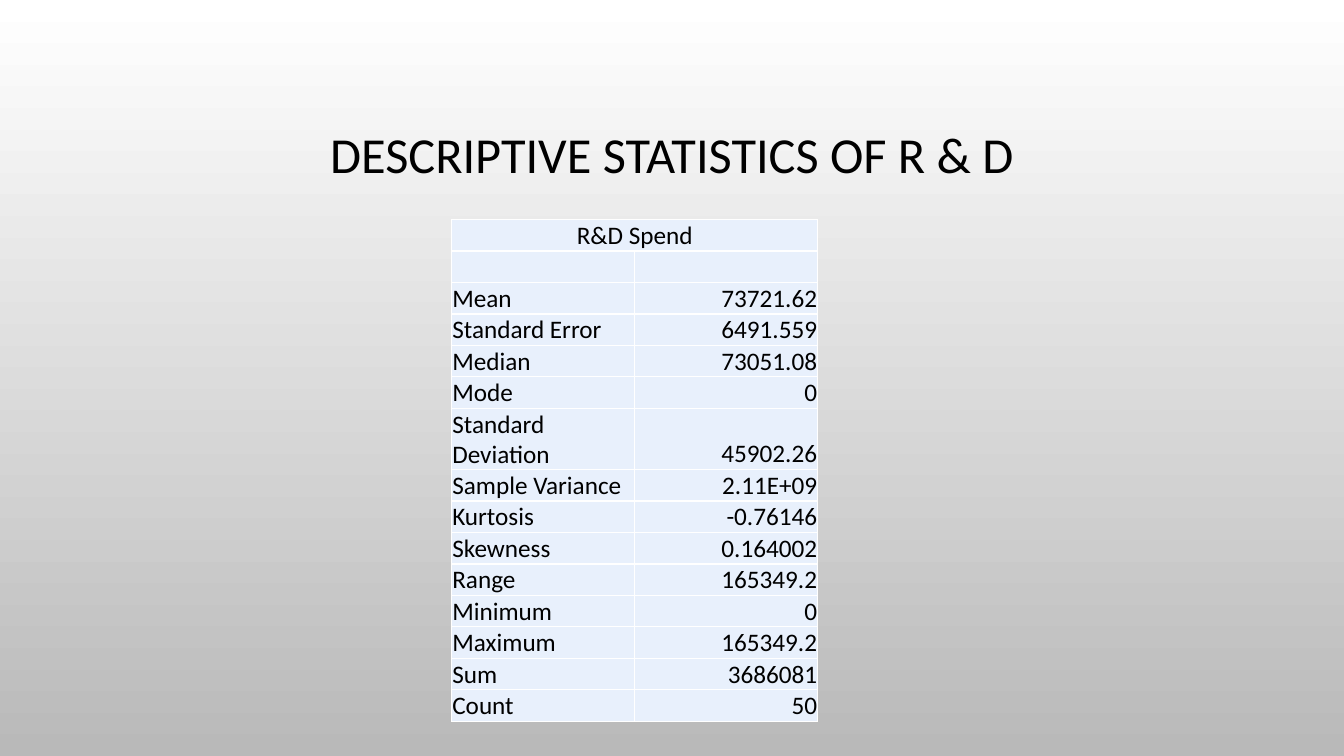
from lxml import etree
from pptx import Presentation
from pptx.dml.color import RGBColor
from pptx.enum.text import MSO_ANCHOR, PP_ALIGN
from pptx.oxml.ns import qn
from pptx.util import Pt

LEFT, CENTER, RIGHT = PP_ALIGN.LEFT, PP_ALIGN.CENTER, PP_ALIGN.RIGHT
MIDDLE, BOTTOM = MSO_ANCHOR.MIDDLE, MSO_ANCHOR.BOTTOM
FONT = "Calibri"
BLACK, WHITE, GREY, PALE_BLUE = "000000", "FFFFFF", "B9B9B9", "E8F0FC"
STATISTICS = [
    ("R&D Spend", ""),
    ("", ""),
    ("Mean", "73721.62"),
    ("Standard Error", "6491.559"),
    ("Median", "73051.08"),
    ("Mode", "0"),
    ("Standard Deviation", "45902.26"),
    ("Sample Variance", "2.11E+09"),
    ("Kurtosis", "-0.76146"),
    ("Skewness", "0.164002"),
    ("Range", "165349.2"),
    ("Minimum", "0"),
    ("Maximum", "165349.2"),
    ("Sum", "3686081"),
    ("Count", "50"),
]


def color(value):
    """Turn a hex string into a colour."""
    return RGBColor.from_string(value)


def write(tf, text, size, align):
    """Put one formatted line of text into a text frame."""
    tf.text = text
    p = tf.paragraphs[0]
    p.alignment = align
    for r in p.runs:
        r.font.name = FONT
        r.font.size = Pt(size)
        r.font.color.rgb = color(BLACK)


def add_background(s):
    """Fill the slide with a vertical gradient."""
    fill = s.background.fill
    fill.gradient()
    fill.gradient_angle = 270
    for stop, value in zip(fill.gradient_stops, (WHITE, GREY)):
        stop.color.rgb = color(value)


def add_title(s, left, top, width, height):
    """Add the centred slide title."""
    tf = s.shapes.add_textbox(Pt(left), Pt(top), Pt(width), Pt(height)).text_frame
    tf.word_wrap = True
    tf.vertical_anchor = MIDDLE
    write(tf, "DESCRIPTIVE STATISTICS OF R & D", 36, CENTER)
    tf.paragraphs[0].line_spacing = 0.9


def add_borders(cell):
    """Draw thin white lines on the four sides of a cell."""
    tcPr = cell._tc.get_or_add_tcPr()
    for i, side in enumerate(("a:lnL", "a:lnR", "a:lnT", "a:lnB")):
        ln = etree.Element(qn(side), w=str(Pt(1)))
        fill = etree.SubElement(ln, qn("a:solidFill"))
        etree.SubElement(fill, qn("a:srgbClr"), val=WHITE)
        tcPr.insert(i, ln)


def add_statistics(s, left, top, width, row_height):
    """Add the table of statistics under a merged heading row."""
    rows = len(STATISTICS)
    frame = s.shapes.add_table(rows, 2, Pt(left), Pt(top), Pt(width), Pt(rows * row_height))
    table = frame.table
    for row, texts in zip(table.rows, STATISTICS):
        row.height = Pt(row_height)
        for cell, text, align in zip(row.cells, texts, (LEFT, RIGHT)):
            cell.margin_left = cell.margin_right = cell.margin_top = Pt(0.5)
            cell.margin_bottom = 0
            cell.vertical_anchor = BOTTOM
            cell.fill.solid()
            cell.fill.fore_color.rgb = color(PALE_BLUE)
            add_borders(cell)
            write(cell.text_frame, text, 18, align)
    heading = table.cell(0, 0)
    heading.merge(table.cell(0, 1))
    heading.text_frame.paragraphs[0].alignment = CENTER


def main():
    """Build and save the slide."""
    prs = Presentation()
    prs.slide_width, prs.slide_height = Pt(960), Pt(540)
    s = prs.slides.add_slide(prs.slide_layouts[6])
    add_background(s)
    add_title(s, 72, 49, 816, 126)
    add_statistics(s, 322.6, 156.8, 261.6, 22.5)
    prs.save("out.pptx")


if __name__ == "__main__":
    main()
